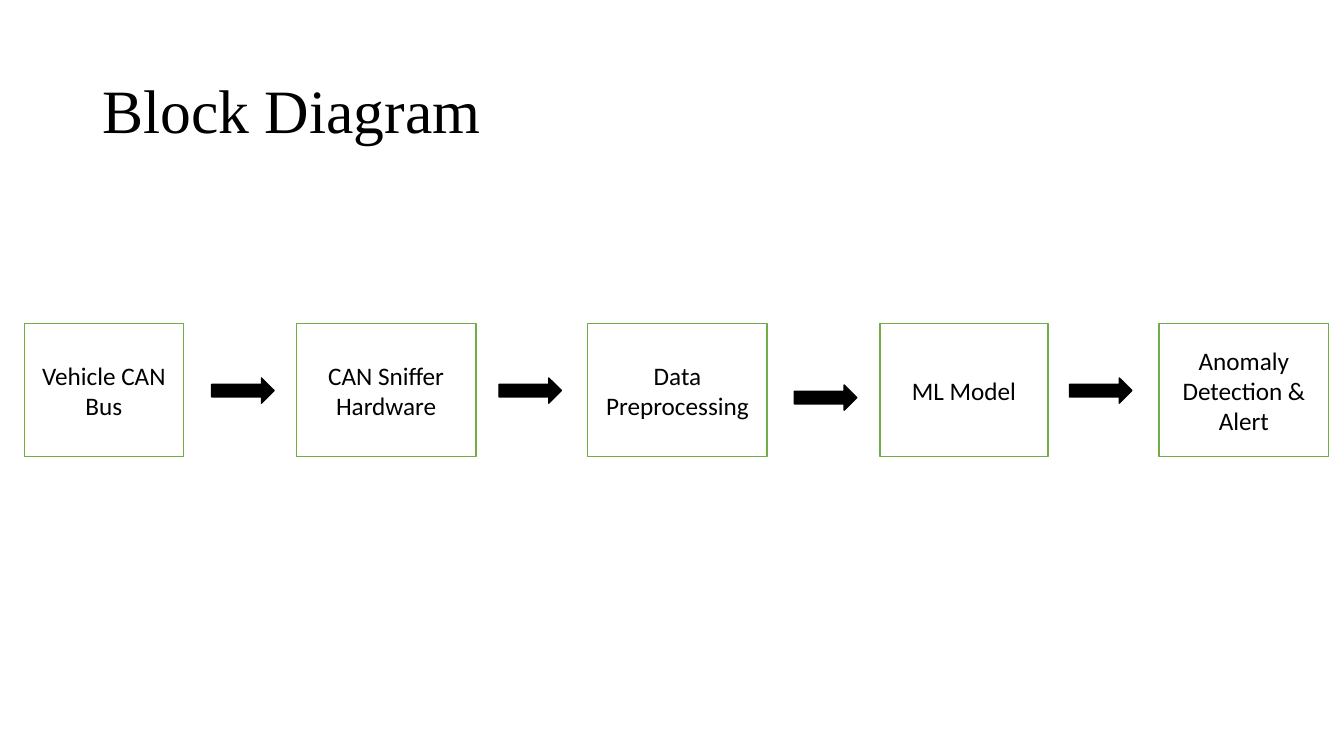
"""Build the block diagram slide."""
from pptx import Presentation
from pptx.dml.color import RGBColor
from pptx.enum.shapes import MSO_SHAPE
from pptx.enum.text import MSO_ANCHOR, PP_ALIGN
from pptx.util import Pt

RECTANGLE = MSO_SHAPE.RECTANGLE
RIGHT_ARROW = MSO_SHAPE.RIGHT_ARROW
MIDDLE = MSO_ANCHOR.MIDDLE
LEFT, CENTER = PP_ALIGN.LEFT, PP_ALIGN.CENTER
TITLE_ONLY = 5

BLACK, WHITE, GREEN = "000000", "FFFFFF", "70AD47"
BLOCK_TOP, BLOCK_HEIGHT = 231.2, 95
ARROW_WIDTH, ARROW_HEIGHT = 44.6, 18

BLOCKS = [
    ("Vehicle CAN Bus", 17.3, 113.8),
    ("CAN Sniffer Hardware", 211.7, 128.2),
    ("Data Preprocessing", 419.8, 128.2),
    ("ML Model", 628.5, 120.2),
    ("Anomaly Detection & Alert", 828, 121),
]
ARROWS = [(151.2, 270), (356.4, 270), (567.4, 275), (763.9, 270)]


def color(value):
    """Turn a hex string into a colour."""
    return RGBColor.from_string(value)


def write(box, text, *, size, font, align=LEFT, spacing=1.0):
    """Put one formatted paragraph, vertically centred, into a shape."""
    frame = box.text_frame
    frame.word_wrap = True
    frame.vertical_anchor = MIDDLE
    para = frame.paragraphs[0]
    para.alignment = align
    para.line_spacing = spacing
    span = para.add_run()
    span.text = text
    span.font.size = Pt(size)
    span.font.name = font
    span.font.color.rgb = color(BLACK)


def add_shape(page, kind, left, top, width, height, *, fill, line):
    """Add a flat preset shape with a one-point outline."""
    shape = page.shapes.add_shape(kind, Pt(left), Pt(top), Pt(width), Pt(height))
    shape.shadow.inherit = False
    shape.fill.solid()
    shape.fill.fore_color.rgb = color(fill)
    shape.line.color.rgb = color(line)
    shape.line.width = Pt(1)
    return shape


def add_title(page, text):
    """Place and fill the title placeholder."""
    title = page.shapes.title
    title.left, title.top = Pt(66), Pt(28.8)
    title.width, title.height = Pt(828), Pt(104.4)
    write(title, text, size=44, font="Times New Roman", spacing=0.9)


def add_block(page, text, left, width):
    """Add one labelled stage of the diagram."""
    block = add_shape(page, RECTANGLE, left, BLOCK_TOP, width, BLOCK_HEIGHT,
                      fill=WHITE, line=GREEN)
    write(block, text, size=18, font="Calibri", align=CENTER)


def add_arrow(page, left, top):
    """Add one arrow between two stages."""
    add_shape(page, RIGHT_ARROW, left, top, ARROW_WIDTH, ARROW_HEIGHT,
              fill=BLACK, line=BLACK)


def main():
    """Build and save the deck."""
    deck = Presentation()
    deck.slide_width, deck.slide_height = Pt(960), Pt(540)
    page = deck.slides.add_slide(deck.slide_layouts[TITLE_ONLY])
    add_title(page, "Block Diagram")
    for text, left, width in BLOCKS:
        add_block(page, text, left, width)
    for left, top in ARROWS:
        add_arrow(page, left, top)
    deck.save("out.pptx")


if __name__ == "__main__":
    main()
